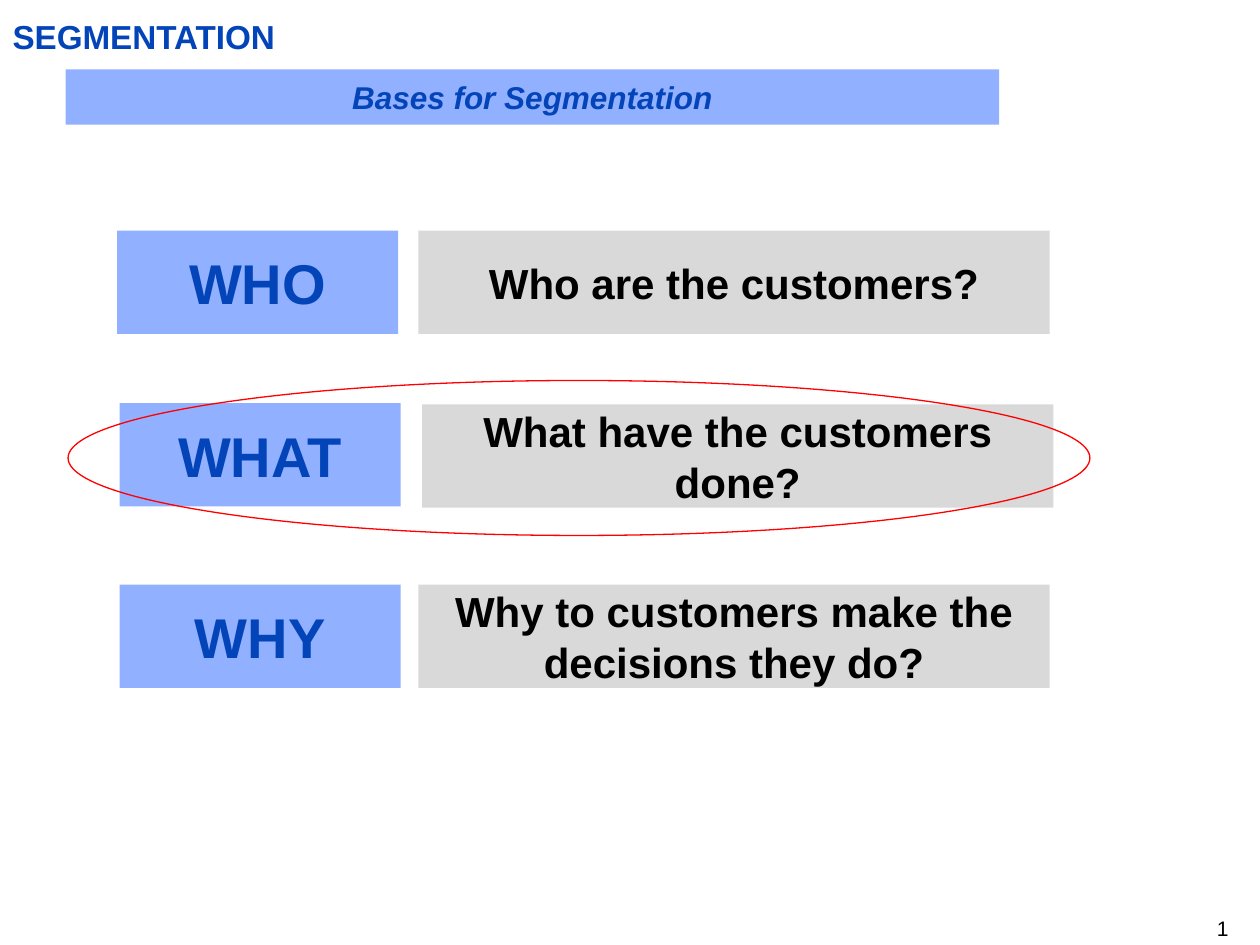
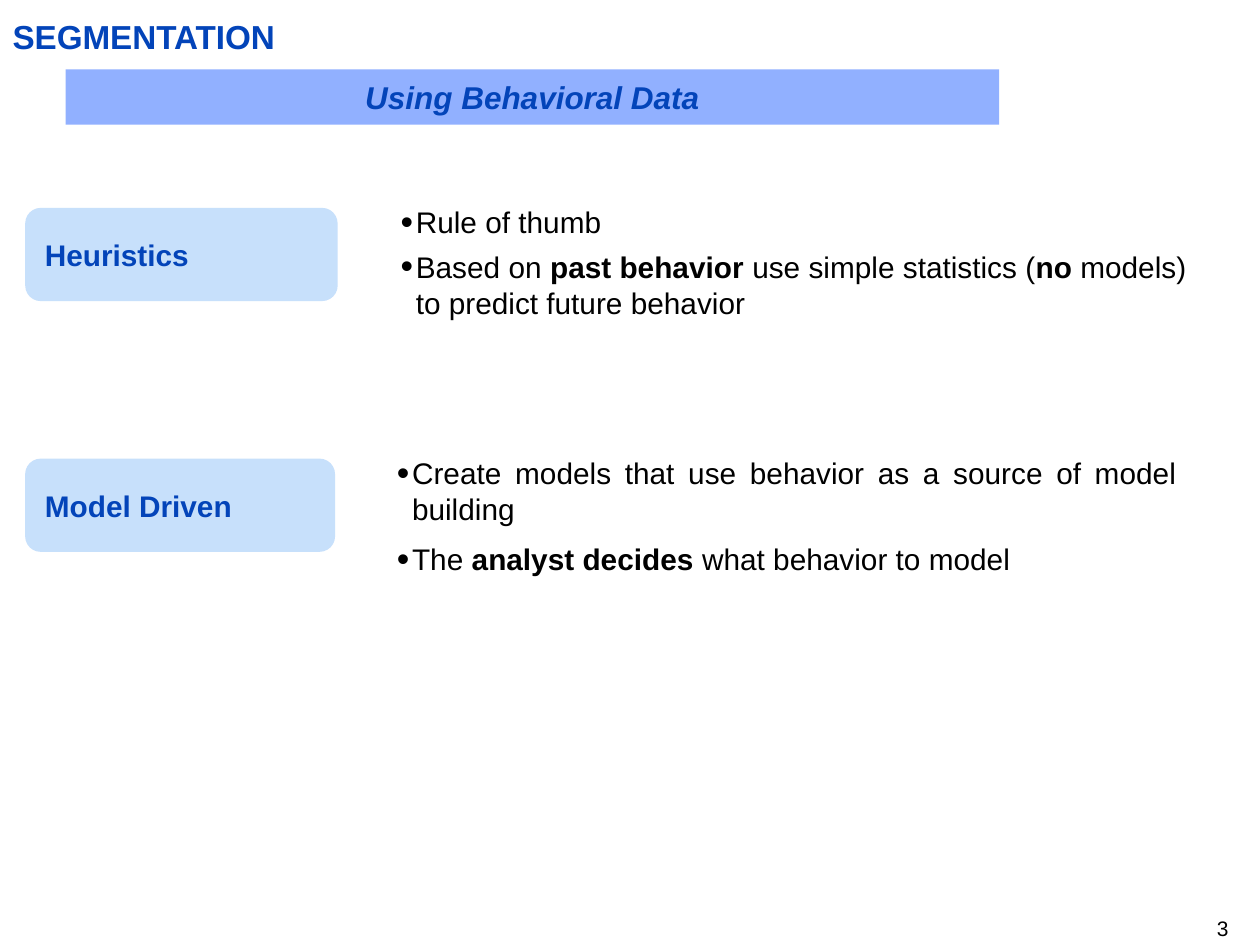
from lxml import etree
from pptx import Presentation
from pptx.dml.color import RGBColor
from pptx.enum import shapes, text
from pptx.oxml import ns
from pptx.util import Inches, Pt

BLUE, BAND, GREY, PALE, RED, BLACK = "0344B9", "91B0FF", "D9D9D9", "C7E0FB", "FF0000", "000000"
SHAPE, ALIGN, ANCHOR = shapes.MSO_SHAPE, text.PP_ALIGN, text.MSO_ANCHOR


def write(sp, *paras, size, color=BLACK, bold=False, italic=False, align=ALIGN.LEFT,
          anchor=ANCHOR.MIDDLE, left=0, after=0, bullet=False):
    """Fill a shape with paragraphs; parts between asterisks are bold."""
    tf = sp.text_frame
    tf.word_wrap = True
    tf.auto_size = text.MSO_AUTO_SIZE.NONE
    tf.vertical_anchor = anchor
    tf.margin_left = Inches(left)
    tf.margin_right = tf.margin_top = tf.margin_bottom = 0
    for i, line in enumerate(paras):
        p = tf.add_paragraph() if i else tf.paragraphs[0]
        p.alignment = align
        p.space_before, p.space_after = Pt(0), Pt(after)
        if bullet:
            pPr = p._p.get_or_add_pPr()
            pPr.set("marL", str(Inches(0.12)))
            pPr.set("indent", str(-Inches(0.12)))
            etree.SubElement(pPr, ns.qn("a:buSzPct")).set("val", "120000")
            etree.SubElement(pPr, ns.qn("a:buChar")).set("char", "•")
        for j, part in enumerate(line.split("*")):
            r = p.add_run()
            r.text = part
            r.font.name, r.font.size = "Arial", Pt(size)
            r.font.bold, r.font.italic = bold or j % 2 == 1, italic
            r.font.color.rgb = RGBColor.from_string(color)


def add_box(s, kind, at, fill=None, line=None):
    sp = s.shapes.add_shape(kind, *map(Inches, at))
    sp.shadow.inherit = False
    if fill:
        sp.fill.solid()
        sp.fill.fore_color.rgb = RGBColor.from_string(fill)
    else:
        sp.fill.background()
    if line:
        sp.line.color.rgb = RGBColor.from_string(line)
        sp.line.width = Pt(0.75)
    else:
        sp.line.fill.background()
    return sp


prs = Presentation()
prs.slide_width, prs.slide_height = Inches(10), Inches(7.5)

# Shared frame: title, subtitle band, page number
TITLE_ONLY, TWO_CONTENT = 5, 3
slides = []
for layout, subtitle, number in [(TITLE_ONLY, "Bases for Segmentation", "1"),
                                 (TWO_CONTENT, "Using Behavioral Data", "3")]:
    s = prs.slides.add_slide(prs.slide_layouts[layout])
    title = s.shapes.title
    title.left, title.top, title.width, title.height = map(Inches, (0.1, 0.13, 9.62, 0.32))
    write(title, "SEGMENTATION", size=19, color=BLUE, bold=True)
    band = add_box(s, SHAPE.RECTANGLE, (0.52, 0.55, 7.41, 0.44), BAND)
    write(band, subtitle, size=18, color=BLUE, bold=True, italic=True, align=ALIGN.CENTER)
    page = s.shapes.add_textbox(*map(Inches, (7.67, 7.27, 2.08, 0.2)))
    write(page, number, size=12, align=ALIGN.RIGHT)
    slides.append(s)
bases, behavior = slides

# Bases for segmentation: keyword and question in each row
for word, question, word_at, question_at in [
    ("WHO", "Who are the customers?", (0.93, 1.83), (3.32, 1.83)),
    ("WHAT", "What have the customers done?", (0.95, 3.2), (3.35, 3.21)),
    ("WHY", "Why to customers make the decisions they do?", (0.95, 4.64), (3.32, 4.64)),
]:
    sp = add_box(bases, SHAPE.RECTANGLE, (*word_at, 2.23, 0.82), BAND)
    write(sp, word, size=32, color=BLUE, bold=True, align=ALIGN.CENTER)
    sp = add_box(bases, SHAPE.RECTANGLE, (*question_at, 5.01, 0.82), GREY)
    write(sp, question, size=24, bold=True, align=ALIGN.CENTER)
add_box(bases, SHAPE.OVAL, (0.54, 3.02, 8.11, 1.23), line=RED)

# Behavioral data: approach label beside its bullet list
approaches = [
    ("Heuristics", (0.2, 1.65, 2.48, 0.74), (3.18, 1.62, 6.25, 0.94), ALIGN.LEFT, 5,
     ["Rule of thumb",
      "Based on *past behavior *use simple statistics (*no* models) to predict future behavior"]),
    ("Model Driven", (0.2, 3.64, 2.46, 0.74), (3.15, 3.61, 6.19, 1), ALIGN.JUSTIFY, 8.5,
     ["Create models that use behavior as a source of model building",
      "The *analyst decides *what behavior to model"]),
]
for body, (name, label_at, list_at, align, after, points) in zip(
        list(behavior.placeholders)[1:], approaches):
    label = add_box(behavior, SHAPE.ROUNDED_RECTANGLE, label_at, PALE)
    write(label, name, size=17, color=BLUE, bold=True, left=0.12)
    body.left, body.top, body.width, body.height = map(Inches, list_at)
    write(body, *points, size=17, align=align, anchor=ANCHOR.TOP, after=after, bullet=True)

prs.save("out.pptx")
